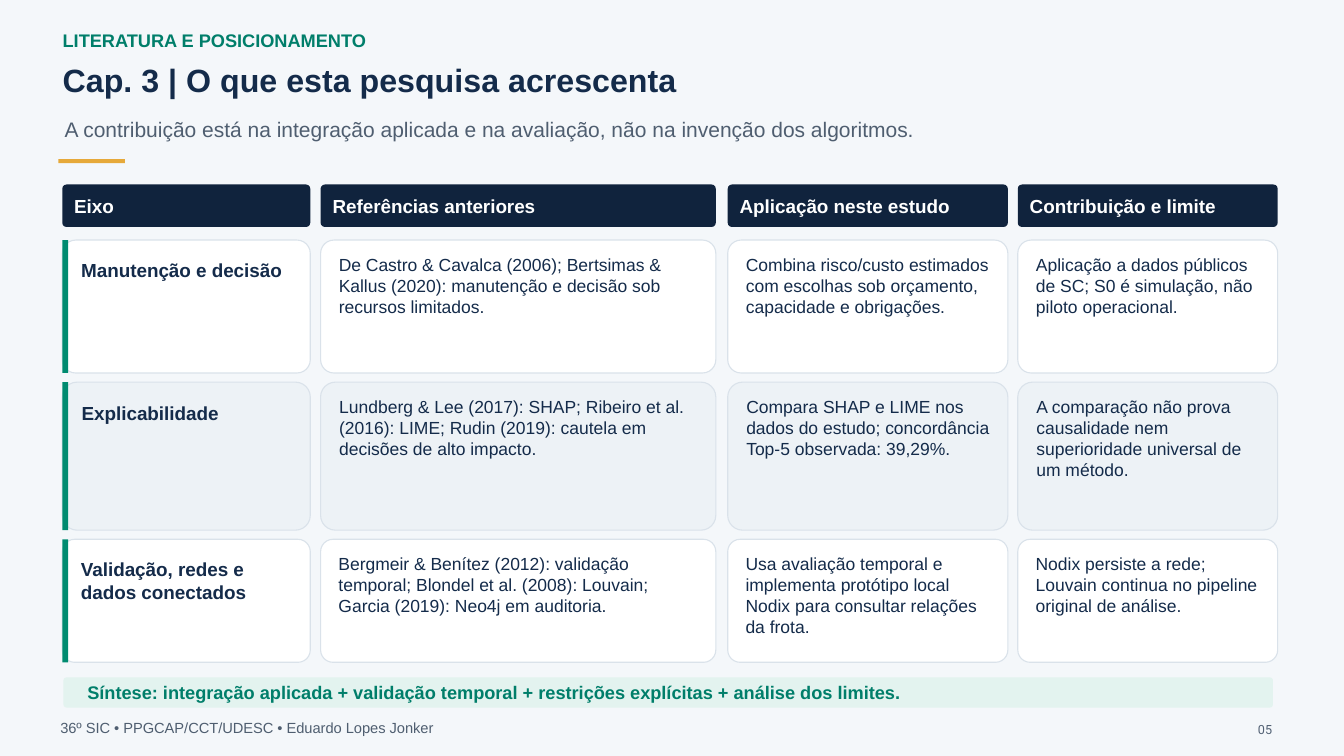
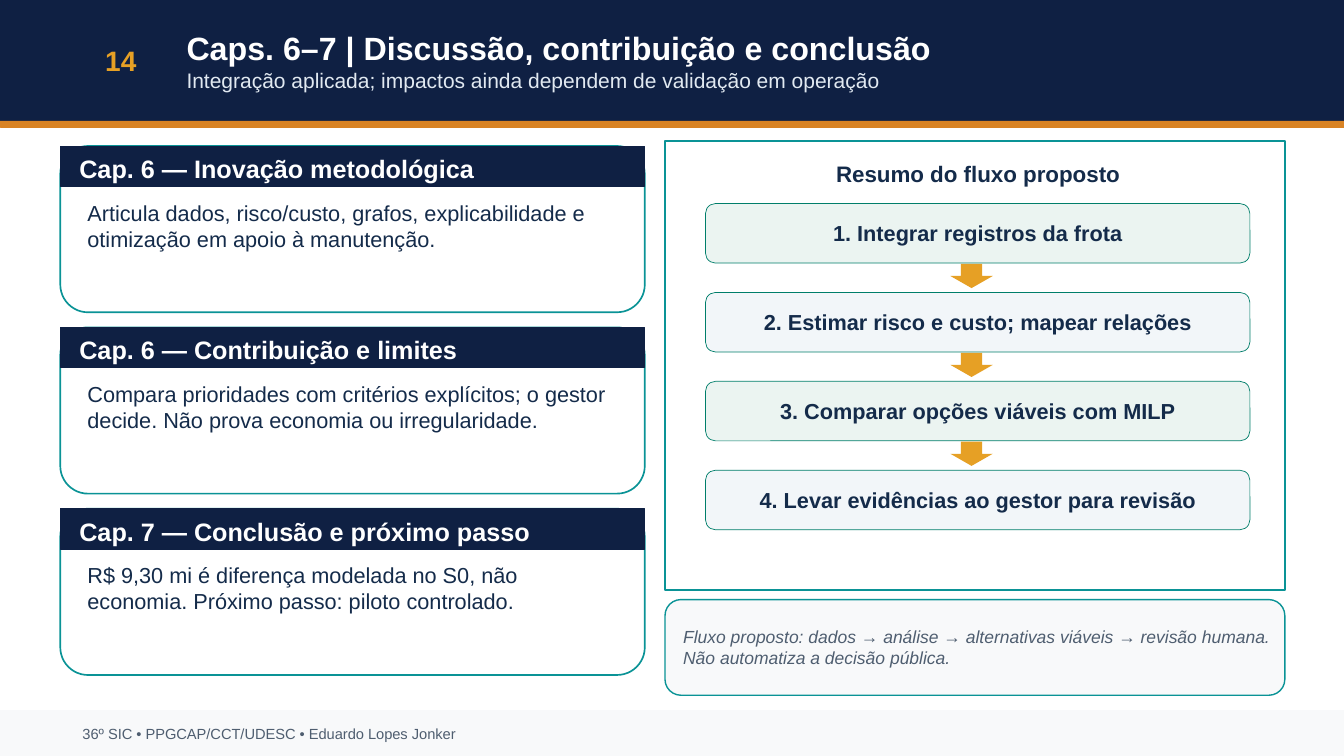
"""Build two slides on the literature review and the conclusions of a study."""
import pptx
import pptx.dml.color
import pptx.enum.shapes
import pptx.enum.text
import pptx.util

Cm = pptx.util.Cm
RGBColor = pptx.dml.color.RGBColor
MSO_SHAPE = pptx.enum.shapes.MSO_SHAPE
PP_ALIGN = pptx.enum.text.PP_ALIGN
MSO_ANCHOR = pptx.enum.text.MSO_ANCHOR

WHITE = RGBColor(0xFF, 0xFF, 0xFF)
INK = RGBColor(0x14, 0x2B, 0x4A)
SLATE = RGBColor(0x4F, 0x5E, 0x70)
PAGE_GREY = RGBColor(0x52, 0x61, 0x74)
GREEN = RGBColor(0x00, 0x7E, 0x6A)
STRIPE_GREEN = RGBColor(0x00, 0x8B, 0x70)
MINT = RGBColor(0xE3, 0xF3, 0xEF)
STEP_MINT = RGBColor(0xEB, 0xF4, 0xF1)
STEP_GREY = RGBColor(0xF2, 0xF6, 0xF9)
TEAL = RGBColor(0x0A, 0x93, 0x96)
HEADER_NAVY = RGBColor(0x10, 0x23, 0x3D)
NAVY = RGBColor(0x0F, 0x20, 0x43)
ORANGE = RGBColor(0xD9, 0x83, 0x24)
AMBER = RGBColor(0xE6, 0xA0, 0x25)
GOLD = RGBColor(0xE6, 0xA9, 0x3A)
PALE = RGBColor(0xF4, 0xF7, 0xFA)
ROW_GREY = RGBColor(0xED, 0xF2, 0xF6)
BORDER = RGBColor(0xDA, 0xE2, 0xEA)
FOOTER_GREY = RGBColor(0xF8, 0xF9, 0xFA)
SUBTITLE = RGBColor(0xE1, 0xE9, 0xF1)

FONT = "Arial"
FOOTER = "36º SIC • PPGCAP/CCT/UDESC • Eduardo Lopes Jonker"
TITLE_SIZE, SUBTITLE_SIZE, FOOTER_SIZE = 23, 15, 10.5
PAD = (0.18, 0.1, 0.18, 0.1)


def box(s, kind, place, fill, line=None, width=0.5, adj=None):
    """Add a flat preset shape."""
    sp = s.shapes.add_shape(kind, *[Cm(v) for v in place])
    sp.shadow.inherit = False
    sp.fill.solid()
    sp.fill.fore_color.rgb = fill
    if line is None:
        sp.line.fill.background()
    else:
        sp.line.color.rgb = line
        sp.line.width = pptx.util.Pt(width)
    if adj is not None:
        sp.adjustments[0] = adj
    return sp


def write(sp, text, size, color, bold=False, italic=False, font=FONT,
          align=PP_ALIGN.LEFT, anchor=MSO_ANCHOR.TOP, pad=PAD):
    """Add one formatted paragraph to a shape."""
    tf = sp.text_frame
    tf.word_wrap = True
    tf.auto_size = pptx.enum.text.MSO_AUTO_SIZE.NONE
    tf.vertical_anchor = anchor
    tf.margin_left, tf.margin_top, tf.margin_right, tf.margin_bottom = [Cm(v) for v in pad]
    p = tf.add_paragraph() if tf.text else tf.paragraphs[0]
    p.alignment = align
    r = p.add_run()
    r.text = text
    r.font.name = font
    r.font.size = pptx.util.Pt(size)
    r.font.bold = bold
    r.font.italic = italic
    r.font.color.rgb = color


prs = pptx.Presentation()
prs.slide_width, prs.slide_height = Cm(33.87), Cm(19.05)

slides = []
for background, title, title_place, title_color, title_anchor, title_pad, footer_place in [
    (PALE, "Cap. 3 | O que esta pesquisa acrescenta", (1.4, 1.42, 30.99, 1.32),
     INK, MSO_ANCHOR.TOP, PAD, (1.47, 18.08, 29.46, 0.51)),
    (WHITE, "Caps. 6–7 | Discussão, contribuição e conclusão", (4.57, 0.38, 27.94, 2.29),
     WHITE, MSO_ANCHOR.MIDDLE, (0.13, 0.05, 0.13, 0.05), (2.03, 18.03, 29.72, 0.89)),
]:
    s = prs.slides.add_slide(prs.slide_layouts[5])
    s.background.fill.solid()
    s.background.fill.fore_color.rgb = background
    sp = s.shapes.title
    sp.left, sp.top, sp.width, sp.height = [Cm(v) for v in title_place]
    write(sp, title, TITLE_SIZE, title_color, bold=True, anchor=title_anchor, pad=title_pad)
    footer = s.shapes.add_textbox(*[Cm(v) for v in footer_place])
    write(footer, FOOTER, FOOTER_SIZE, SLATE, anchor=MSO_ANCHOR.MIDDLE, pad=(0.05, 0, 0.05, 0))
    slides.append(s)

s = slides[0]
sp = s.shapes.add_textbox(Cm(1.4), Cm(0.64), Cm(30.99), Cm(0.61))
write(sp, "LITERATURA E POSICIONAMENTO", 13, GREEN, bold=True)
sp = s.shapes.add_textbox(Cm(1.45), Cm(2.84), Cm(30.73), Cm(0.97))
write(sp, "A contribuição está na integração aplicada e na avaliação, não na invenção dos algoritmos.",
      SUBTITLE_SIZE, SLATE)
box(s, MSO_SHAPE.RECTANGLE, (1.47, 4.01, 1.68, 0.1), GOLD)
sp = s.shapes.add_textbox(Cm(31.12), Cm(17.98), Cm(1.14), Cm(0.51))
write(sp, "05", 9, PAGE_GREY, font="Roboto", align=PP_ALIGN.RIGHT, pad=(0.2, 0.2, 0.2, 0.2))

columns = [(1.57, 6.25, "Eixo"), (8.08, 9.96, "Referências anteriores"),
           (18.34, 7.06, "Aplicação neste estudo"), (25.65, 6.55, "Contribuição e limite")]
rows = [
    (3.35, WHITE, [
        "Manutenção e decisão",
        "De Castro & Cavalca (2006); Bertsimas & Kallus (2020): manutenção e decisão sob recursos limitados.",
        "Combina risco/custo estimados com escolhas sob orçamento, capacidade e obrigações.",
        "Aplicação a dados públicos de SC; S0 é simulação, não piloto operacional."]),
    (3.73, ROW_GREY, [
        "Explicabilidade",
        "Lundberg & Lee (2017): SHAP; Ribeiro et al. (2016): LIME; Rudin (2019): cautela em decisões de alto impacto.",
        "Compara SHAP e LIME nos dados do estudo; concordância Top-5 observada: 39,29%.",
        "A comparação não prova causalidade nem superioridade universal de um método."]),
    (3.1, WHITE, [
        "Validação, redes e dados conectados",
        "Bergmeir & Benítez (2012): validação temporal; Blondel et al. (2008): Louvain; Garcia (2019): Neo4j em auditoria.",
        "Usa avaliação temporal e implementa protótipo local Nodix para consultar relações da frota.",
        "Nodix persiste a rede; Louvain continua no pipeline original de análise."]),
]
for x, w, heading in columns:
    sp = box(s, MSO_SHAPE.ROUNDED_RECTANGLE, (x, 4.65, w, 1.07), HEADER_NAVY, adj=0.1)
    write(sp, heading, 13.5, WHITE, bold=True, anchor=MSO_ANCHOR.MIDDLE, pad=(0.27, 0, 0.27, 0))

y = 6.05
for h, fill, cells in rows:
    for i, ((x, w, heading), cell) in enumerate(zip(columns, cells)):
        sp = box(s, MSO_SHAPE.ROUNDED_RECTANGLE, (x, y, w, h), fill, BORDER, 0.8, adj=0.1)
        if i == 0:
            write(sp, cell, 13.5, INK, bold=True, pad=(0.38, 0.38, 0.25, 0.25))
            box(s, MSO_SHAPE.RECTANGLE, (x, y, 0.15, h), STRIPE_GREEN)
        else:
            write(sp, cell, 12.5, INK, pad=(0.36, 0.25, 0.36, 0.15))
    y += h + 0.23

sp = box(s, MSO_SHAPE.ROUNDED_RECTANGLE, (1.6, 17.07, 30.48, 0.76), MINT, adj=0.1)
write(sp, "Síntese: integração aplicada + validação temporal + restrições explícitas + análise dos limites.",
      13, GREEN, bold=True, anchor=MSO_ANCHOR.MIDDLE, pad=(0.58, 0, 0.18, 0))

s = slides[1]
for y, h, fill in [(0, 3.05, NAVY), (3.05, 0.15, ORANGE), (17.91, 1.14, FOOTER_GREY)]:
    band = box(s, MSO_SHAPE.RECTANGLE, (0, y, 33.87, h), fill, fill)
    s.shapes.title.element.addprevious(band.element)
write(s.shapes.title, "Integração aplicada; impactos ainda dependem de validação em operação",
      SUBTITLE_SIZE, SUBTITLE, anchor=MSO_ANCHOR.MIDDLE, pad=(0.13, 0.05, 0.13, 0.05))
sp = s.shapes.add_textbox(Cm(1.52), Cm(0.38), Cm(3.05), Cm(2.29))
write(sp, "14", 20, AMBER, bold=True, align=PP_ALIGN.CENTER, anchor=MSO_ANCHOR.MIDDLE)

cards = [
    ("Cap. 6 — Inovação metodológica",
     "Articula dados, risco/custo, grafos, explicabilidade e otimização em apoio à manutenção."),
    ("Cap. 6 — Contribuição e limites",
     "Compara prioridades com critérios explícitos; o gestor decide. Não prova economia ou irregularidade."),
    ("Cap. 7 — Conclusão e próximo passo",
     "R$ 9,30 mi é diferença modelada no S0, não economia. Próximo passo: piloto controlado."),
]
for i, (heading, body) in enumerate(cards):
    y = 3.68 + i * 4.57
    sp = box(s, MSO_SHAPE.ROUNDED_RECTANGLE, (1.52, y, 14.73, 4.19), WHITE, TEAL, 1.2)
    write(sp, body, 15.5, INK, pad=(0.48, 1.14, 0.48, 0.1))
    sp = box(s, MSO_SHAPE.RECTANGLE, (1.52, y, 14.73, 1.02), NAVY, NAVY)
    write(sp, heading, 18, WHITE, bold=True, anchor=MSO_ANCHOR.MIDDLE, pad=(0.48, 0.1, 0.48, 0))

box(s, MSO_SHAPE.RECTANGLE, (16.76, 3.56, 15.62, 11.3), WHITE, TEAL, 1.5)
sp = box(s, MSO_SHAPE.ROUNDED_RECTANGLE, (16.76, 15.11, 15.62, 2.41), FOOTER_GREY, TEAL, 1)
write(sp, "Fluxo proposto: dados → análise → alternativas viáveis → revisão humana. "
      "Não automatiza a decisão pública.",
      12.5, SLATE, italic=True, anchor=MSO_ANCHOR.MIDDLE, pad=(0.34, 0.1, 0.09, 0.1))
sp = s.shapes.add_textbox(Cm(17.22), Cm(3.94), Cm(14.86), Cm(0.89))
write(sp, "Resumo do fluxo proposto", 16, INK, bold=True,
      align=PP_ALIGN.CENTER, anchor=MSO_ANCHOR.MIDDLE)

steps = ["Integrar registros da frota", "Estimar risco e custo; mapear relações",
         "Comparar opções viáveis com MILP", "Levar evidências ao gestor para revisão"]
for i, step in enumerate(steps):
    y = 5.13 + i * 2.24
    fill = STEP_GREY if i % 2 else STEP_MINT
    sp = box(s, MSO_SHAPE.ROUNDED_RECTANGLE, (17.78, y, 13.72, 1.5), fill, GREEN)
    write(sp, f"{i + 1}. {step}", 15.5, INK, bold=True, align=PP_ALIGN.CENTER,
          anchor=MSO_ANCHOR.MIDDLE, pad=(0.2, 0.05, 0.2, 0.05))
    if i < len(steps) - 1:
        box(s, MSO_SHAPE.DOWN_ARROW, (23.95, y + 1.52, 1.07, 0.61), AMBER)

prs.save("out.pptx")
